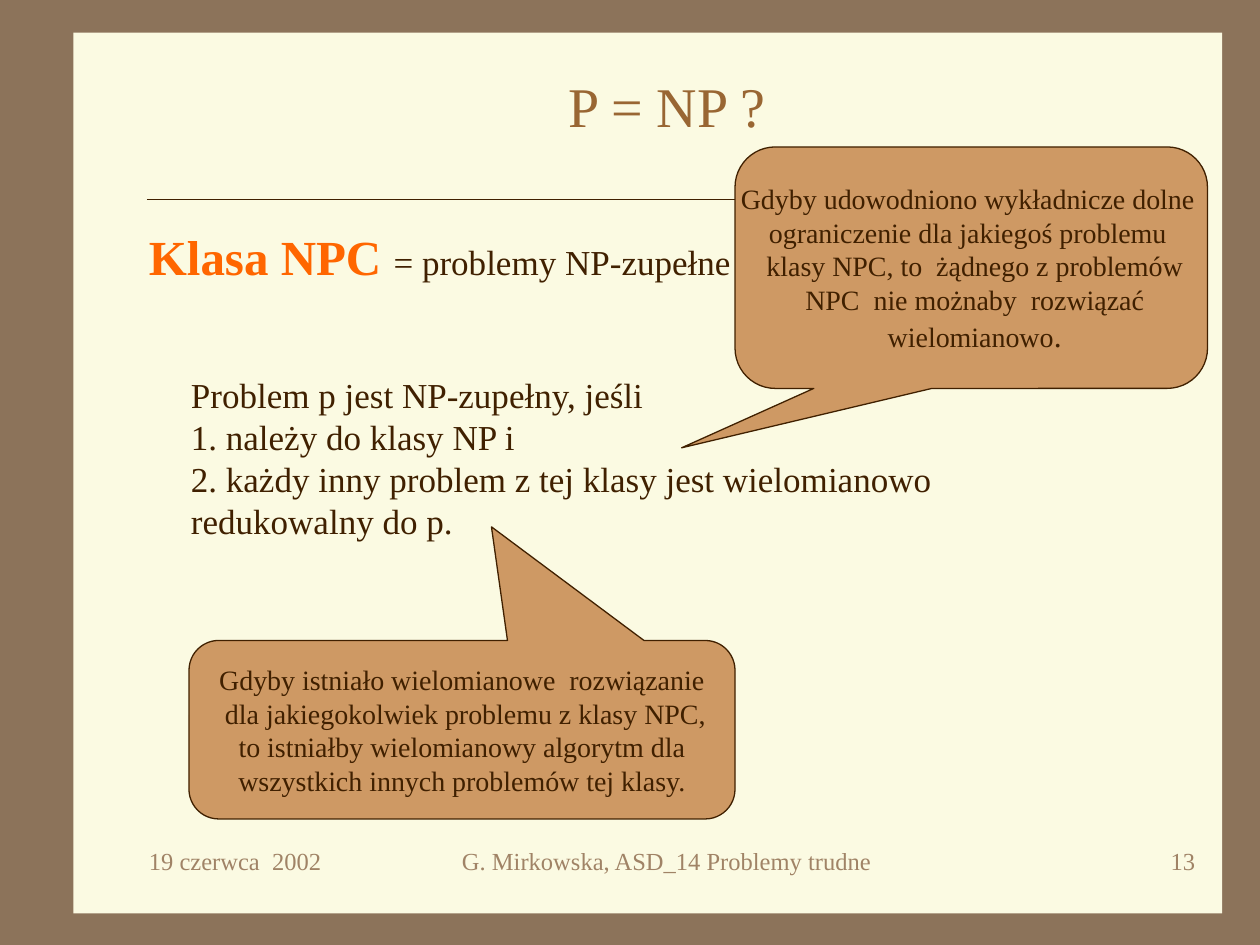
from dataclasses import dataclass

from lxml import etree
from pptx import Presentation
from pptx.dml.color import RGBColor
from pptx.enum.shapes import MSO_CONNECTOR, MSO_SHAPE
from pptx.enum.text import MSO_ANCHOR, PP_ALIGN
from pptx.oxml.ns import qn
from pptx.util import Inches, Pt

LEFT, CENTER, RIGHT = PP_ALIGN.LEFT, PP_ALIGN.CENTER, PP_ALIGN.RIGHT
TOP, MIDDLE = MSO_ANCHOR.TOP, MSO_ANCHOR.MIDDLE
RECTANGLE = MSO_SHAPE.RECTANGLE
CALLOUT = MSO_SHAPE.ROUNDED_RECTANGULAR_CALLOUT
STRAIGHT = MSO_CONNECTOR.STRAIGHT

FONT = "Times New Roman"
FRAME, PAPER, BUBBLE = "8C735A", "FBFAE2", "CE9964"
INK, TITLE, ACCENT, MUTED = "402000", "996633", "FF6600", "A08366"
CELLS_PER_INCH = 12  # the page is a grid of 120 columns by 90 rows


@dataclass
class Area:
    column: float
    row: float
    columns: float
    rows: float

    def lengths(self) -> list:
        return [cells(n) for n in (self.column, self.row, self.columns, self.rows)]


@dataclass
class Span:
    text: str
    size: float
    color: str = INK
    bold: bool = False


@dataclass
class Bubble:
    area: Area
    tip: tuple  # pointer tip from the centre, in shares of width and height
    spans: list


@dataclass
class Footer:
    area: Area
    text: str
    align: PP_ALIGN


def cells(count: float) -> int:
    return Inches(count / CELLS_PER_INCH)


def rgb(color: str) -> RGBColor:
    return RGBColor.from_string(color)


def write(box, spans: list, align=LEFT, anchor=TOP, wrap=True) -> None:
    """Fill a box with one paragraph; newlines become line breaks."""
    frame = box.text_frame
    frame.word_wrap = wrap
    frame.vertical_anchor = anchor
    para = frame.paragraphs[0]
    para.alignment = align
    for span in spans:
        for index, line in enumerate(span.text.split("\n")):
            if index:
                para.add_line_break()
            run = para.add_run()
            run.text = line
            run.font.name = FONT
            run.font.size = Pt(span.size)
            run.font.bold = span.bold
            run.font.color.rgb = rgb(span.color)


def add_text(page, area: Area, spans: list, **layout) -> None:
    write(page.shapes.add_textbox(*area.lengths()), spans, **layout)


def add_filled(page, kind, area: Area, fill: str, line: str = ""):
    shape = page.shapes.add_shape(kind, *area.lengths())
    shape.shadow.inherit = False
    shape.fill.solid()
    shape.fill.fore_color.rgb = rgb(fill)
    if line:
        shape.line.color.rgb = rgb(line)
        shape.line.width = Pt(0.75)
    else:
        shape.line.fill.background()
    return shape


def add_bubble(page, bubble: Bubble) -> None:
    shape = add_filled(page, CALLOUT, bubble.area, BUBBLE, INK)
    shape.adjustments[0], shape.adjustments[1] = bubble.tip
    write(shape, bubble.spans, align=CENTER, anchor=MIDDLE, wrap=False)


def add_rule(page, left: float, right: float, row: float) -> None:
    rule = page.shapes.add_connector(
        STRAIGHT, cells(left), cells(row), cells(right), cells(row))
    rule.line.color.rgb = rgb(INK)
    rule.line.width = Pt(0.75)
    etree.SubElement(rule._element.spPr, qn("a:effectLst"))


BUBBLES = [
    Bubble(Area(18, 61, 52, 17), (0.054, -1.137), [Span(
        "Gdyby istniało wielomianowe  rozwiązanie\n"
        " dla jakiegokolwiek problemu z klasy NPC,\n"
        " to istniałby wielomianowy algorytm dla \n"
        "wszystkich innych problemów tej klasy.", 16)]),
    Bubble(Area(70, 14, 45, 23), (-0.613, 0.746), [Span(
        "Gdyby udowodniono wykładnicze dolne \n"
        "ograniczenie dla jakiegoś problemu \n"
        " klasy NPC, to  żądnego z problemów\n"
        " NPC  nie możnaby  rozwiązać\n"
        " wielomianowo", 16), Span(".", 18)]),
]
FOOTERS = [
    Footer(Area(37, 80, 53, 6), "G. Mirkowska, ASD_14 Problemy trudne", CENTER),
    Footer(Area(90, 80, 25, 6), "13", RIGHT),
    Footer(Area(13, 80, 25, 6), "19 czerwca  2002", LEFT),
]


def main() -> None:
    deck = Presentation()
    deck.slide_width, deck.slide_height = cells(120), cells(90)
    page = deck.slides.add_slide(deck.slide_layouts[6])

    # Framed paper and rule under the title
    page.background.fill.solid()
    page.background.fill.fore_color.rgb = rgb(FRAME)
    add_filled(page, RECTANGLE, Area(7, 3.1, 109.4, 83.9), PAPER)
    add_rule(page, 14, 114, 19)

    # Title, heading and definition
    add_text(page, Area(13, 6, 101, 8), [Span("P = NP ?", 32, TITLE)],
             align=CENTER, anchor=MIDDLE)
    add_text(page, Area(13, 21, 58, 6.8), [
        Span("Klasa NPC ", 28, ACCENT, bold=True),
        Span("= problemy NP-zupełne", 20)])
    add_text(page, Area(17, 35, 87, 17.3), [Span(
        "Problem p jest NP-zupełny, jeśli \n"
        "1. należy do klasy NP i \n"
        "2. każdy inny problem z tej klasy jest wielomianowo "
        "redukowalny do p.", 20)])

    # Remarks
    for bubble in BUBBLES:
        add_bubble(page, bubble)

    # Footer
    for footer in FOOTERS:
        add_text(page, footer.area, [Span(footer.text, 14, MUTED)],
                 align=footer.align)

    deck.save("out.pptx")


if __name__ == "__main__":
    main()
